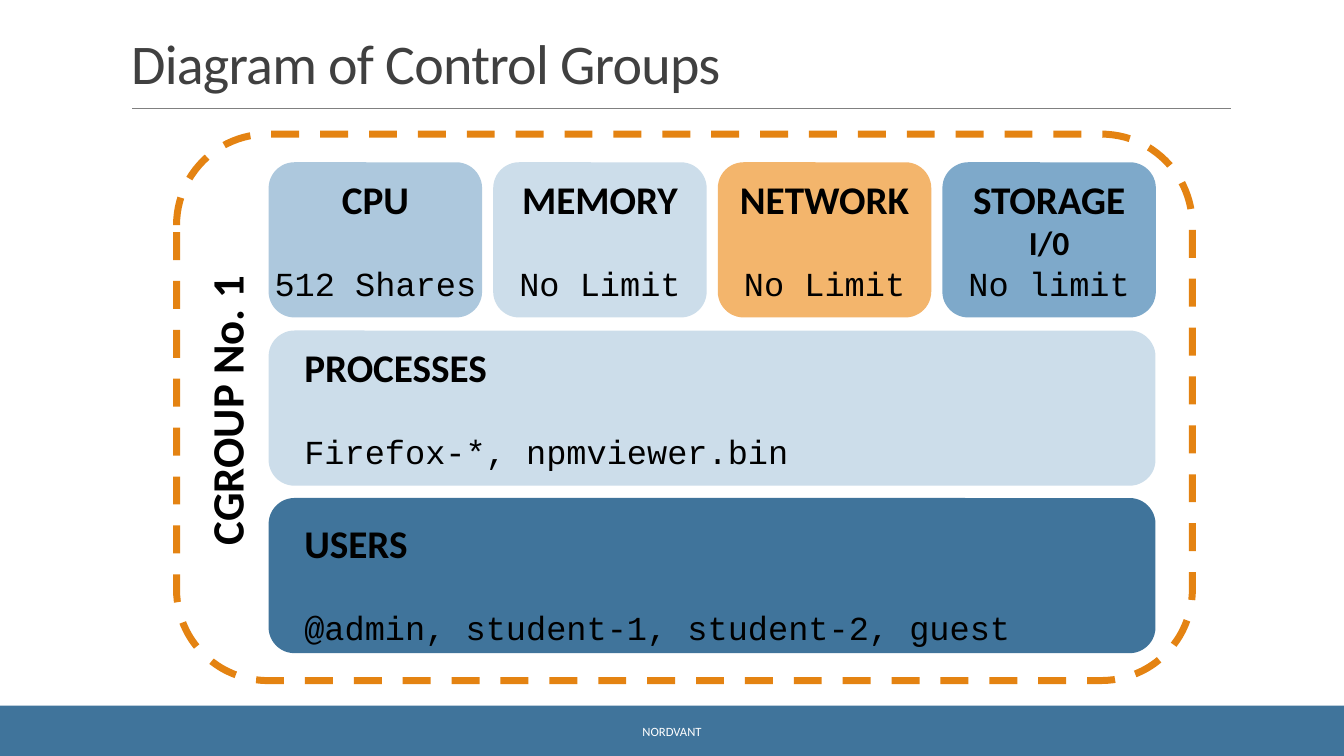
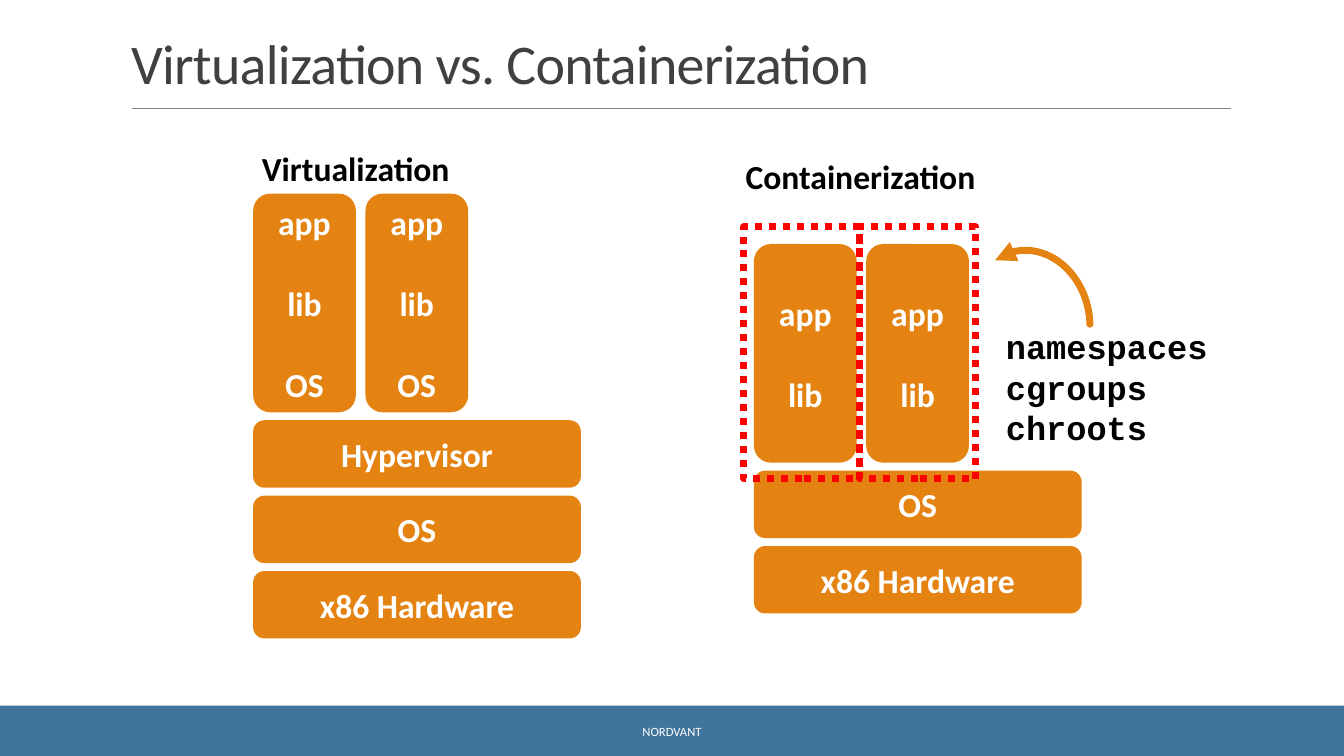
from dataclasses import dataclass

from lxml import etree
from pptx import Presentation
from pptx.dml.color import RGBColor
from pptx.enum import dml, shapes, text
from pptx.oxml.ns import qn
from pptx.util import Cm, Pt

COLORS = {
    "band": "40749B", "rule": "808080", "title": "404040", "white": "FFFFFF",
    "black": "000000", "orange": "E48312", "amber": "F3B56C", "red": "FF0000",
    "pale": "CCDDEA", "light": "ADC8DD", "mid": "7EA9CA",
}
SANS, MONO = "Calibri", "Courier New"
LEFT, CENTER = text.PP_ALIGN.LEFT, text.PP_ALIGN.CENTER
ROUND, RECT = shapes.MSO_SHAPE.ROUNDED_RECTANGLE, shapes.MSO_SHAPE.RECTANGLE
LINE_GAP = 29  # height of one 24 pt line, in points


@dataclass(frozen=True)
class Box:
    """Position and size in centimetres."""
    x: float
    y: float
    w: float
    h: float

    def lengths(self):
        return Cm(self.x), Cm(self.y), Cm(self.w), Cm(self.h)


@dataclass(frozen=True)
class Line:
    """One paragraph and its format."""
    text: str
    size: float = 24
    font: str = SANS
    bold: bool = True
    before: float = 0


@dataclass(frozen=True)
class Tile:
    name: str
    limit: str
    fill: str
    subtitle: str = ""


@dataclass(frozen=True)
class Panel:
    name: str
    content: str
    fill: str
    top: float
    text_top: float


@dataclass(frozen=True)
class Stack:
    heading: str
    heading_box: Box
    left: float
    top: float
    tower: list[str]
    layers: list[str]


def rgb(name: str) -> RGBColor:
    return RGBColor.from_string(COLORS[name])


def write(tf, lines: list[Line], color: str, align=LEFT) -> None:
    for i, line in enumerate(lines):
        p = tf.paragraphs[0] if i == 0 else tf.add_paragraph()
        p.text = line.text
        p.alignment = align
        if line.before:
            p.space_before = Pt(line.before)
        f = p.runs[0].font
        f.name, f.size, f.bold = line.font, Pt(line.size), line.bold
        f.color.rgb = rgb(color)


def add_text(slide, box: Box, lines: list[Line], color="black", align=LEFT):
    sp = slide.shapes.add_textbox(*box.lengths())
    sp.text_frame.word_wrap = False
    sp.text_frame.auto_size = text.MSO_AUTO_SIZE.SHAPE_TO_FIT_TEXT
    write(sp.text_frame, lines, color, align)
    return sp


def add_filled(slide, box: Box, fill: str, kind=ROUND, lines: list[Line] = ()):
    sp = slide.shapes.add_shape(kind, *box.lengths())
    sp.shadow.inherit = False
    sp.fill.solid()
    sp.fill.fore_color.rgb = rgb(fill)
    sp.line.fill.background()
    sp.text_frame.vertical_anchor = text.MSO_ANCHOR.MIDDLE
    write(sp.text_frame, lines, "white", CENTER)
    return sp


def add_outline(slide, box: Box, kind, color: str, dash=None):
    sp = slide.shapes.add_shape(kind, *box.lengths())
    sp.shadow.inherit = False
    sp.fill.background()
    sp.line.color.rgb = rgb(color)
    sp.line.width = Pt(5)
    if dash:
        sp.line.dash_style = dash
    return sp


def add_slide(prs, title: str):
    """Slide with the shared band, rule, title and footer."""
    s = prs.slides.add_slide(prs.slide_layouts[5])
    add_filled(s, Box(0, 17.78, 33.87, 1.27), "band", RECT)

    rule = s.shapes.add_connector(shapes.MSO_CONNECTOR.STRAIGHT,
                                  Cm(3.33), Cm(2.74), Cm(31.01), Cm(2.74))
    rule.line.color.rgb = rgb("rule")
    rule.line.width = Pt(0.5)
    etree.SubElement(rule._element.spPr, qn("a:effectLst"))

    sp = s.shapes.title
    sp.left, sp.top, sp.width, sp.height = Box(3.05, 0.79, 27.94, 1.75).lengths()
    tf = sp.text_frame
    tf.vertical_anchor = text.MSO_ANCHOR.BOTTOM
    write(tf, [Line(title, 40, bold=False)], "title")
    p = tf.paragraphs[0]
    p.line_spacing = 0.85
    p.runs[0].font._element.set("spc", "-50")

    footer = s.shapes.add_textbox(*Box(10.24, 17.93, 13.39, 1.02).lengths())
    footer.text_frame.word_wrap = True
    footer.text_frame.vertical_anchor = text.MSO_ANCHOR.MIDDLE
    write(footer.text_frame, [Line("NORDVANT", 9, bold=False)], "white", CENTER)
    return s


def build_control_groups(prs) -> None:
    s = add_slide(prs, "Diagram of Control Groups")
    add_outline(s, Box(4.45, 3.38, 25.6, 13.77), ROUND, "orange",
                dml.MSO_LINE.DASH)
    left, pitch, tile_w, height = 6.77, 5.66, 5.38, 3.91

    # Resource tiles
    tiles = [
        Tile("CPU", "512 Shares", "light"),
        Tile("MEMORY", "No Limit", "pale"),
        Tile("NETWORK", "No Limit", "amber"),
        Tile("STORAGE", "No limit", "mid", "I/0"),
    ]
    for i, tile in enumerate(tiles):
        x = left + i * pitch
        add_filled(s, Box(x, 4.09, tile_w, height), tile.fill)
        lines = [Line(tile.name, 28)]
        if tile.subtitle:
            lines.append(Line(tile.subtitle))
        gap = 0 if tile.subtitle else LINE_GAP
        lines.append(Line(tile.limit, font=MONO, bold=False, before=gap))
        add_text(s, Box(x - (pitch - tile_w) / 2, 4.29, pitch, 3.5), lines,
                 align=CENTER)

    # Wide panels
    panels = [
        Panel("PROCESSES", "Firefox-*, npmviewer.bin", "pale", 8.33, 8.53),
        Panel("USERS", "@admin, student-1, student-2, guest", "band",
              12.55, 12.95),
    ]
    char_w = 0.51  # one 24 pt monospaced character
    for panel in panels:
        add_filled(s, Box(left, panel.top, 22.35, height), panel.fill)
        width = char_w * len(panel.content) + 0.51
        add_text(s, Box(7.42, panel.text_top, width, 3.5), [
            Line(panel.name, 28),
            Line(panel.content, font=MONO, bold=False, before=LINE_GAP),
        ])

    # Group name
    label = add_text(s, Box(2.03, 9.5, 7.34, 1.63), [Line("CGROUP No. 1", 32)])
    label.rotation = 270


def add_stack(slide, stack: Stack) -> None:
    add_text(slide, stack.heading_box, [Line(stack.heading)])
    lines = [Line(t, before=LINE_GAP if i else 0)
             for i, t in enumerate(stack.tower)]
    for i in range(2):
        add_filled(slide, Box(stack.left + i * 2.83, stack.top, 2.59, 5.51),
                   "orange", lines=lines)
    for i, name in enumerate(stack.layers):
        y = stack.top + 5.71 + i * 1.9
        add_filled(slide, Box(stack.left, y, 8.26, 1.7), "orange",
                   lines=[Line(name)])


def build_comparison(prs) -> None:
    s = add_slide(prs, "Virtualization vs. Containerization")
    add_stack(s, Stack("Virtualization", Box(6.35, 3.61, 5.31, 1.27),
                       6.38, 4.88, ["app", "lib", "OS"],
                       ["Hypervisor", "OS", "x86 Hardware"]))
    add_stack(s, Stack("Containerization", Box(18.54, 3.81, 6.38, 1.27),
                       19, 6.15, ["app", "lib"], ["OS", "x86 Hardware"]))

    # Container boundaries
    for i in range(2):
        add_outline(s, Box(18.75 + i * 2.92, 5.72, 2.92, 6.35), RECT, "red",
                    dml.MSO_LINE.ROUND_DOT)

    # Isolation mechanisms and their arrow
    add_text(s, Box(25.1, 8.1, 5.64, 3.33),
             [Line(t, font=MONO) for t in ("namespaces", "cgroups", "chroots")])
    arc = add_outline(s, Box(24.41, 6.3, 3.05, 3.63), shapes.MSO_SHAPE.ARC,
                      "orange")
    arc.adjustments[0], arc.adjustments[1] = 150.71, 7.26
    arc.rotation = 350
    ln = arc.line._get_or_add_ln()
    ln.set("cap", "rnd")
    etree.SubElement(ln, qn("a:headEnd"), type="triangle")


def main() -> None:
    prs = Presentation()
    prs.slide_width, prs.slide_height = Cm(33.87), Cm(19.05)
    build_control_groups(prs)
    build_comparison(prs)
    prs.save("out.pptx")


if __name__ == "__main__":
    main()
